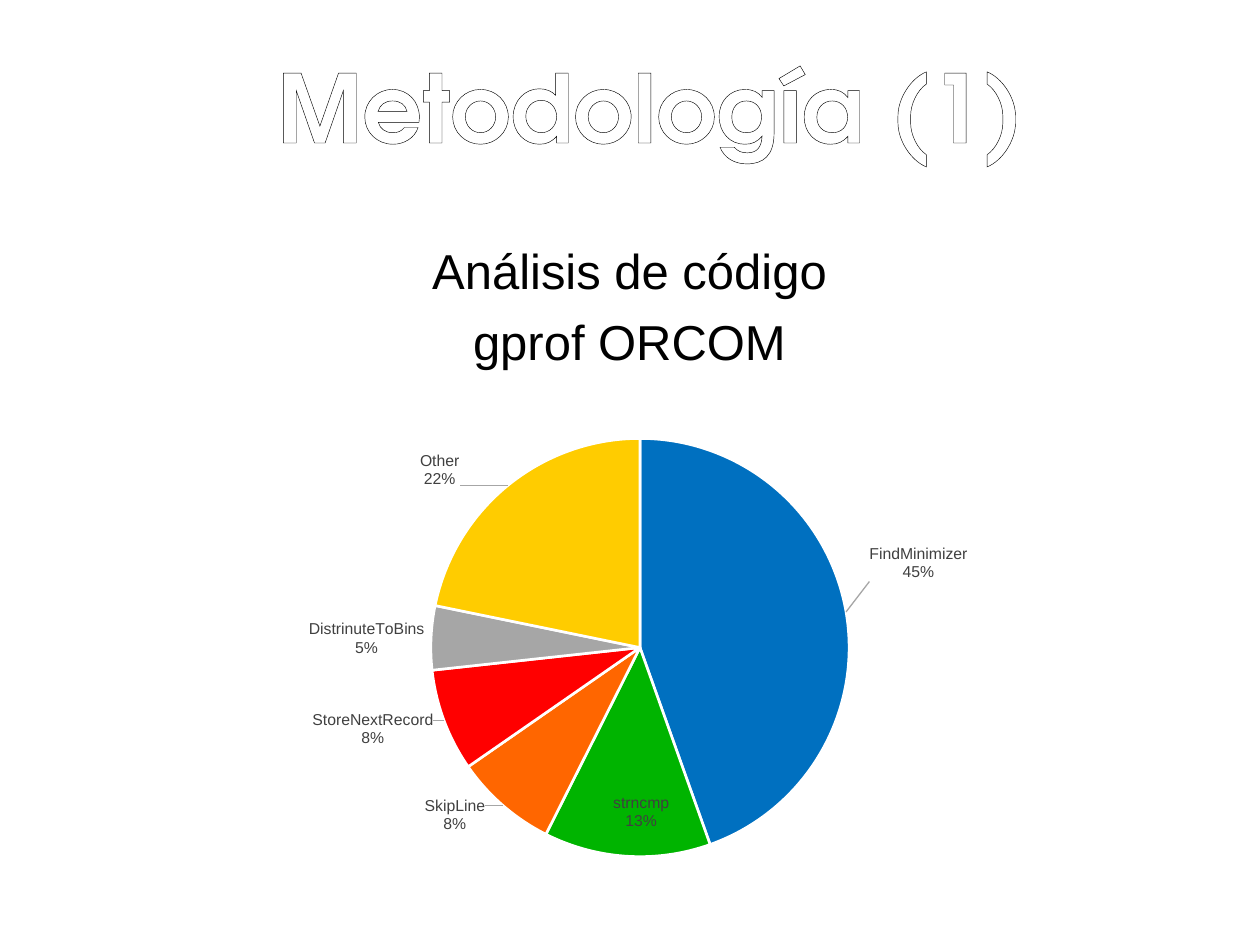
import math
from dataclasses import dataclass

import pptx
import pptx.chart.data
import pptx.dml.color
import pptx.enum.chart
import pptx.enum.text
import pptx.oxml
import pptx.oxml.ns
import pptx.util
from pptx.dml.color import RGBColor
from pptx.util import Inches, Pt

WHITE = RGBColor(0xFF, 0xFF, 0xFF)
BLACK = RGBColor(0x00, 0x00, 0x00)
LABEL_GRAY = RGBColor(0x40, 0x40, 0x40)
LEADER_GRAY = RGBColor(0xA6, 0xA6, 0xA6)
BLUE = RGBColor(0x00, 0x70, 0xC0)
GREEN = RGBColor(0x00, 0xB4, 0x00)
ORANGE = RGBColor(0xFF, 0x66, 0x00)
RED = RGBColor(0xFF, 0x00, 0x00)
YELLOW = RGBColor(0xFF, 0xCC, 0x00)

# Chart frame and pie circle, in inches
CHART_LEFT, CHART_TOP, CHART_WIDTH, CHART_HEIGHT = 1.85, 3.2, 6.3, 4.09
PIE_X, PIE_Y, PIE_RADIUS = 5.08, 5.14, 1.66


@dataclass
class Slice:
    name: str
    value: int
    color: RGBColor
    label_x: float  # label centre on the page, in inches
    label_y: float


SLICES = [
    Slice("FindMinimizer", 45, BLUE, 7.29, 4.47),
    Slice("strncmp", 13, GREEN, 5.09, 6.45),
    Slice("SkipLine", 8, ORANGE, 3.61, 6.47),
    Slice("StoreNextRecord", 8, RED, 2.96, 5.79),
    Slice("DistrinuteToBins", 5, LEADER_GRAY, 2.91, 5.07),
    Slice("Other", 22, YELLOW, 3.49, 3.73),
]


def add_text(page, left: float, top: float, width: float, height: float,
             lines: list[str], font_name: str, size: int, color: RGBColor,
             bold: bool = False, space_before: float = 0):
    box = page.shapes.add_textbox(Inches(left), Inches(top), Inches(width), Inches(height))
    frame = box.text_frame
    frame.word_wrap = True
    frame.text = "\n".join(lines)
    for para in frame.paragraphs:
        para.alignment = pptx.enum.text.PP_ALIGN.CENTER
        para.space_before = Pt(space_before)
        para.font.name = font_name
        para.font.size = Pt(size)
        para.font.bold = bold
        para.font.color.rgb = color
    return frame


def outline_text(span, color: RGBColor, points: float) -> None:
    line = pptx.oxml.parse_xml(
        f'<a:ln {pptx.oxml.ns.nsdecls("a")} w="{Pt(points)}"><a:solidFill>'
        f'<a:srgbClr val="{color}"/></a:solidFill></a:ln>')
    span.font._element.insert(0, line)


def labels_xml(slices: list[Slice]) -> str:
    """Labels with name and percentage, each moved from its slice centre."""
    flags = ('<c:dLblPos val="ctr"/><c:showLegendKey val="0"/><c:showVal val="0"/>'
             '<c:showCatName val="1"/><c:showSerName val="0"/><c:showPercent val="1"/>'
             '<c:showBubbleSize val="0"/><c:separator>\n</c:separator>')
    style = ('<c:numFmt formatCode="0%" sourceLinked="0"/>'
             '<c:spPr><a:noFill/><a:ln><a:noFill/></a:ln></c:spPr>'
             '<c:txPr><a:bodyPr/><a:p><a:pPr><a:defRPr sz="900" b="0"><a:solidFill>'
             f'<a:srgbClr val="{LABEL_GRAY}"/></a:solidFill><a:latin typeface="Arial"/>'
             '</a:defRPr></a:pPr><a:endParaRPr lang="es-ES"/></a:p></c:txPr>')
    total = sum(item.value for item in slices)
    passed = 0
    labels = ""
    for index, item in enumerate(slices):
        angle = 2 * math.pi * (passed + item.value / 2) / total
        passed += item.value
        dx = (item.label_x - PIE_X - PIE_RADIUS / 2 * math.sin(angle)) / CHART_WIDTH
        dy = (item.label_y - PIE_Y + PIE_RADIUS / 2 * math.cos(angle)) / CHART_HEIGHT
        labels += (f'<c:dLbl><c:idx val="{index}"/><c:layout><c:manualLayout>'
                   f'<c:x val="{dx:.4f}"/><c:y val="{dy:.4f}"/></c:manualLayout></c:layout>'
                   f'{style}{flags}</c:dLbl>')
    return (f'<c:dLbls {pptx.oxml.ns.nsdecls("c", "a")}>{labels}{style}{flags}'
            '<c:showLeaderLines val="1"/><c:leaderLines><c:spPr><a:ln w="9525"><a:solidFill>'
            f'<a:srgbClr val="{LEADER_GRAY}"/></a:solidFill></a:ln></c:spPr></c:leaderLines>'
            '</c:dLbls>')


def plot_layout_xml() -> str:
    """Inner plot area that encloses the pie circle."""
    x = (PIE_X - PIE_RADIUS - CHART_LEFT) / CHART_WIDTH
    y = (PIE_Y - PIE_RADIUS - CHART_TOP) / CHART_HEIGHT
    w = 2 * PIE_RADIUS / CHART_WIDTH
    h = 2 * PIE_RADIUS / CHART_HEIGHT
    return (f'<c:layout {pptx.oxml.ns.nsdecls("c")}><c:manualLayout>'
            '<c:layoutTarget val="inner"/><c:xMode val="edge"/><c:yMode val="edge"/>'
            f'<c:x val="{x:.4f}"/><c:y val="{y:.4f}"/><c:w val="{w:.4f}"/>'
            f'<c:h val="{h:.4f}"/></c:manualLayout></c:layout>')


def add_pie(page, slices: list[Slice]) -> None:
    data = pptx.chart.data.CategoryChartData()
    data.categories = [item.name for item in slices]
    data.add_series("Series 1", [item.value for item in slices])
    chart = page.shapes.add_chart(
        pptx.enum.chart.XL_CHART_TYPE.PIE, Inches(CHART_LEFT), Inches(CHART_TOP),
        Inches(CHART_WIDTH), Inches(CHART_HEIGHT), data).chart
    chart.has_title = False
    chart.has_legend = False
    chart.font.name = "Arial"
    chart.font.size = Pt(10)
    chart.font.color.rgb = BLACK
    plot = chart.plots[0]
    plot.vary_by_categories = True
    series = plot.series[0]
    for index, item in enumerate(slices):
        part = series.points[index].format
        part.fill.solid()
        part.fill.fore_color.rgb = item.color
        part.line.color.rgb = WHITE
        part.line.width = Pt(1.5)

    # Label offsets and plot size
    series_xml = series._element
    series_xml.find(pptx.oxml.ns.qn("c:cat")).addprevious(
        pptx.oxml.parse_xml(labels_xml(slices)))
    area = chart._chartSpace.find(".//" + pptx.oxml.ns.qn("c:plotArea"))
    for layout in area.findall(pptx.oxml.ns.qn("c:layout")):
        area.remove(layout)
    area.insert(0, pptx.oxml.parse_xml(plot_layout_xml()))


def main() -> None:
    deck = pptx.Presentation()
    deck.slide_width = Inches(10)
    deck.slide_height = Inches(7.5)
    page = deck.slides.add_slide(deck.slide_layouts[6])

    # Title in outlined letters
    title = add_text(page, 1.38, 0.21, 7.56, 1.25, ["Metodología (1)"],
                     "TeX Gyre Adventor", 54, WHITE, bold=True)
    title.vertical_anchor = pptx.enum.text.MSO_ANCHOR.MIDDLE
    outline_text(title.paragraphs[0].runs[0], BLACK, 1)

    # Body
    add_text(page, 0.35, 1.86, 9.29, 4.01, ["Análisis de código", "gprof ORCOM"],
             "Arial", 28, BLACK, space_before=7)

    # Profile chart
    add_pie(page, SLICES)
    deck.save("out.pptx")


if __name__ == "__main__":
    main()
